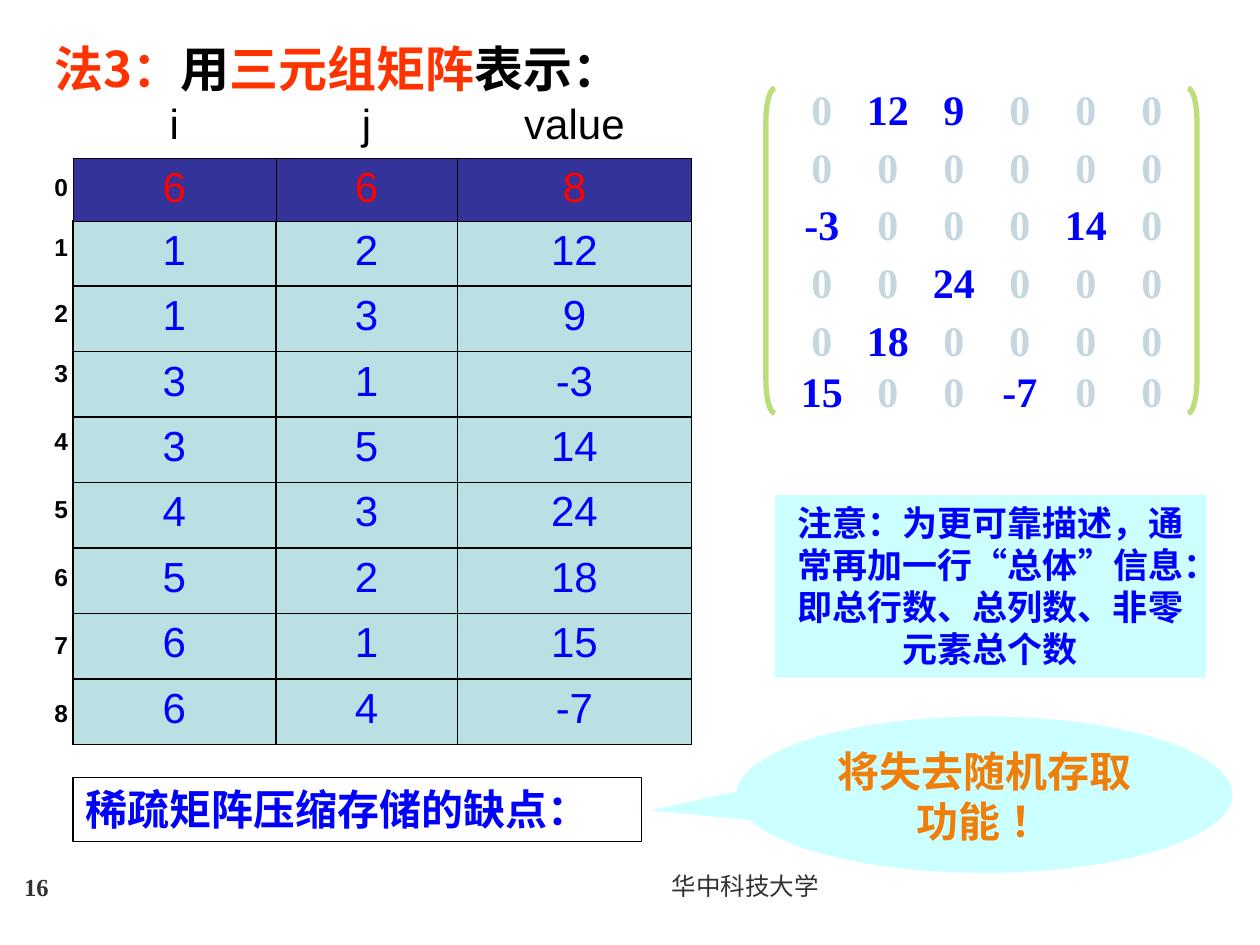
from lxml.etree import SubElement
from pptx import Presentation
from pptx.dml.color import RGBColor as Rgb
from pptx.enum.shapes import MSO_SHAPE as Kind
from pptx.enum.text import MSO_ANCHOR as Anchor, MSO_AUTO_SIZE as Auto, PP_ALIGN as Align
from pptx.oxml.ns import qn
from pptx.util import Cm, Pt

BLACK = Rgb(0x00, 0x00, 0x00)
WHITE = Rgb(0xFF, 0xFF, 0xFF)
GREY = Rgb(0x32, 0x32, 0x32)
RED = Rgb(0xFF, 0x00, 0x00)
FLAME = Rgb(0xFF, 0x33, 0x00)
BLUE = Rgb(0x00, 0x00, 0xFF)
NAVY = Rgb(0x33, 0x33, 0x99)
PALE = Rgb(0xC4, 0xD7, 0xDE)
LIME = Rgb(0xBA, 0xDE, 0x78)
TEAL = Rgb(0xBB, 0xE0, 0xE3)
AQUA = Rgb(0xCC, 0xFF, 0xFF)
AMBER = Rgb(0xF0, 0x7F, 0x09)
SANS, SERIF, HAN = "Arial", "Times New Roman", "Noto Sans CJK SC"

COLS = [4.09, 3.66, 4.72]
MATRIX = [
    [0, 12, 9, 0, 0, 0],
    [0, 0, 0, 0, 0, 0],
    [-3, 0, 0, 0, 14, 0],
    [0, 0, 24, 0, 0, 0],
    [0, 18, 0, 0, 0, 0],
    [15, 0, 0, -7, 0, 0],
]
TOPS = [1.78, 2.95, 4.11, 5.28, 6.45, 7.47]


def style(run, size, color, face, bold=True):
    """Give a run its size, colour and fonts."""
    font = run.font
    font.size, font.bold, font.name = Pt(size), bold, face
    font.color.rgb = color
    SubElement(run._r.get_or_add_rPr(), qn("a:ea")).set("typeface", HAN)


def write(frame, parts, size, align=Align.LEFT, bold=True, lead=None):
    """Fill the first paragraph with (text, colour, face) parts."""
    frame.word_wrap = True
    frame.auto_size = Auto.NONE
    para = frame.paragraphs[0]
    para.alignment = align
    if lead:
        para.line_spacing = Pt(lead)
    for text, color, face in parts:
        run = para.add_run()
        run.text = text
        style(run, size, color, face, bold)


def add_text(slide, box, parts, size, **look):
    """Add a text box centred on its height."""
    frame = slide.shapes.add_textbox(*map(Cm, box)).text_frame
    frame.vertical_anchor = Anchor.MIDDLE
    write(frame, parts, size, **look)


def add_shape(slide, kind, box, fill=None, line=None, width=0.75):
    """Add a preset shape with plain fill and line."""
    shape = slide.shapes.add_shape(kind, *map(Cm, box))
    shape.shadow.inherit = False
    if fill is None:
        shape.fill.background()
    else:
        shape.fill.solid()
        shape.fill.fore_color.rgb = fill
    if line is None:
        shape.line.fill.background()
    else:
        shape.line.color.rgb = line
        shape.line.width = Pt(width)
    shape.text_frame.vertical_anchor = Anchor.TOP
    return shape


def add_edges(cell, width):
    """Draw the four cell borders, or none for zero width."""
    props = cell._tc.get_or_add_tcPr()
    for side in ("lnL", "lnR", "lnT", "lnB"):
        edge = SubElement(props, qn("a:" + side), w=str(Pt(width)))
        if width:
            paint = SubElement(edge, qn("a:solidFill"))
            SubElement(paint, qn("a:srgbClr"), val=str(BLACK))
        else:
            SubElement(edge, qn("a:noFill"))


def add_table(slide, left, top, cols, highs, data, color, size=24,
              fill=None, edge=0, align=Align.CENTER, bold=False):
    """Add a table of single-style cells."""
    box = map(Cm, (left, top, sum(cols), sum(highs)))
    table = slide.shapes.add_table(len(highs), len(cols), *box).table
    table.first_row = table.horz_banding = False
    for col, wide in zip(table.columns, cols):
        col.width = Cm(wide)
    for row, high, items in zip(table.rows, highs, data):
        row.height = Cm(high)
        for cell, item in zip(row.cells, items):
            add_edges(cell, edge)
            if fill is None:
                cell.fill.background()
            else:
                cell.fill.solid()
                cell.fill.fore_color.rgb = fill
            para = cell.text_frame.paragraphs[0]
            para.text = str(item)
            para.alignment = align
            style(para.runs[0], size, color, SANS, bold)


def add_row(slide, top, nums):
    """Add one matrix row on evenly spaced centred tabs."""
    frame = slide.shapes.add_textbox(Cm(15.9), Cm(top), Cm(7.9), Cm(0.81)).text_frame
    frame.margin_left = frame.margin_right = 0
    frame.margin_top = frame.margin_bottom = 0
    frame.vertical_anchor = Anchor.MIDDLE
    tabs = SubElement(frame.paragraphs[0]._p.get_or_add_pPr(), qn("a:tabLst"))
    for step in range(len(nums)):
        SubElement(tabs, qn("a:tab"), pos=str(Cm(0.67 + 1.33 * step)), algn="ctr")
    write(frame, [(f"\t{num}", BLUE if num else PALE, SERIF) for num in nums], 24)


def add_matrix(slide):
    """Add the bracketed sparse matrix."""
    for kind, left in ((Kind.LEFT_BRACKET, 15.44), (Kind.RIGHT_BRACKET, 23.95)):
        shape = add_shape(slide, kind, (left, 1.78, 0.18, 6.55), line=LIME, width=3)
        shape.adjustments[0] = 3.75
    for top, nums in zip(TOPS, MATRIX):
        add_row(slide, top, nums)


def add_triples(slide):
    """Add the triple table with its labels, totals and row numbers."""
    cells = [(i, j, num) for i, nums in enumerate(MATRIX, 1)
             for j, num in enumerate(nums, 1) if num]
    total = (len(MATRIX), len(MATRIX[0]), len(cells))
    add_table(slide, 1.47, 4.45, COLS, [1.32] * len(cells), cells, BLUE, fill=TEAL, edge=1)
    add_table(slide, 1.47, 3.18, COLS, [1.27], [total], RED, fill=NAVY, edge=0.25)
    add_table(slide, 1.47, 1.91, COLS, [1.27], [("i", "j", "value")], BLACK)
    highs = [1.22, 1.32, 1.22] + [1.37] * 5 + [1.22]
    add_table(slide, 0.84, 3.38, [0.84], highs, [[num] for num in range(9)],
              BLACK, size=14, align=Align.LEFT, bold=True)


def add_title(slide):
    """Place and fill the title."""
    title = slide.shapes.title
    title.left, title.top, title.width, title.height = map(Cm, (0.84, 0.64, 11.23, 1.45))
    title.text_frame.vertical_anchor = Anchor.TOP
    parts = [("法3：", FLAME, HAN), ("用", BLACK, HAN),
             ("三元组矩阵", FLAME, HAN), ("表示：", BLACK, HAN)]
    write(title.text_frame, parts, 28, lead=34)


def add_notes(slide):
    """Add the remark, the drawback and its callout."""
    note = add_shape(slide, Kind.RECTANGLE, (15.62, 9.98, 8.69, 3.68), fill=AQUA)
    texts = [("注意：为更可靠描述，通常再加一行", HAN), ("“", SERIF), ("总体", HAN),
             ("”", SERIF), ("信息：即总行数、总列数、非零元素总个数", HAN)]
    parts = [(text, BLUE, face) for text, face in texts]
    write(note.text_frame, parts, 20, align=Align.CENTER, lead=24)
    flaw = add_shape(slide, Kind.RECTANGLE, (1.47, 15.67, 11.46, 1.3), line=BLACK)
    write(flaw.text_frame, [("稀疏矩阵压缩存储的缺点：", BLUE, SERIF)], 24, lead=28.8)
    call = add_shape(slide, Kind.OVAL_CALLOUT, (14.83, 14.43, 10.03, 3.18),
                     fill=AQUA, line=WHITE)
    call.adjustments[0], call.adjustments[1] = -0.68, 0.1
    write(call.text_frame, [("将失去随机存取功能 ！", AMBER, SERIF)], 24,
          align=Align.CENTER, lead=28.8)


def main():
    """Build the slide and save it."""
    deck = Presentation()
    deck.slide_width, deck.slide_height = Cm(25.4), Cm(19.05)
    slide = deck.slides.add_slide(deck.slide_layouts[5])
    add_text(slide, (1.7, 17.35, 15.06, 1.02), [("华中科技大学", GREY, SERIF)], 14,
             align=Align.RIGHT, bold=False)
    add_text(slide, (0, 17.35, 1.47, 1.07), [("16", GREY, SERIF)], 14, align=Align.CENTER)
    add_title(slide)
    add_matrix(slide)
    add_triples(slide)
    add_notes(slide)
    deck.save("out.pptx")


if __name__ == "__main__":
    main()
